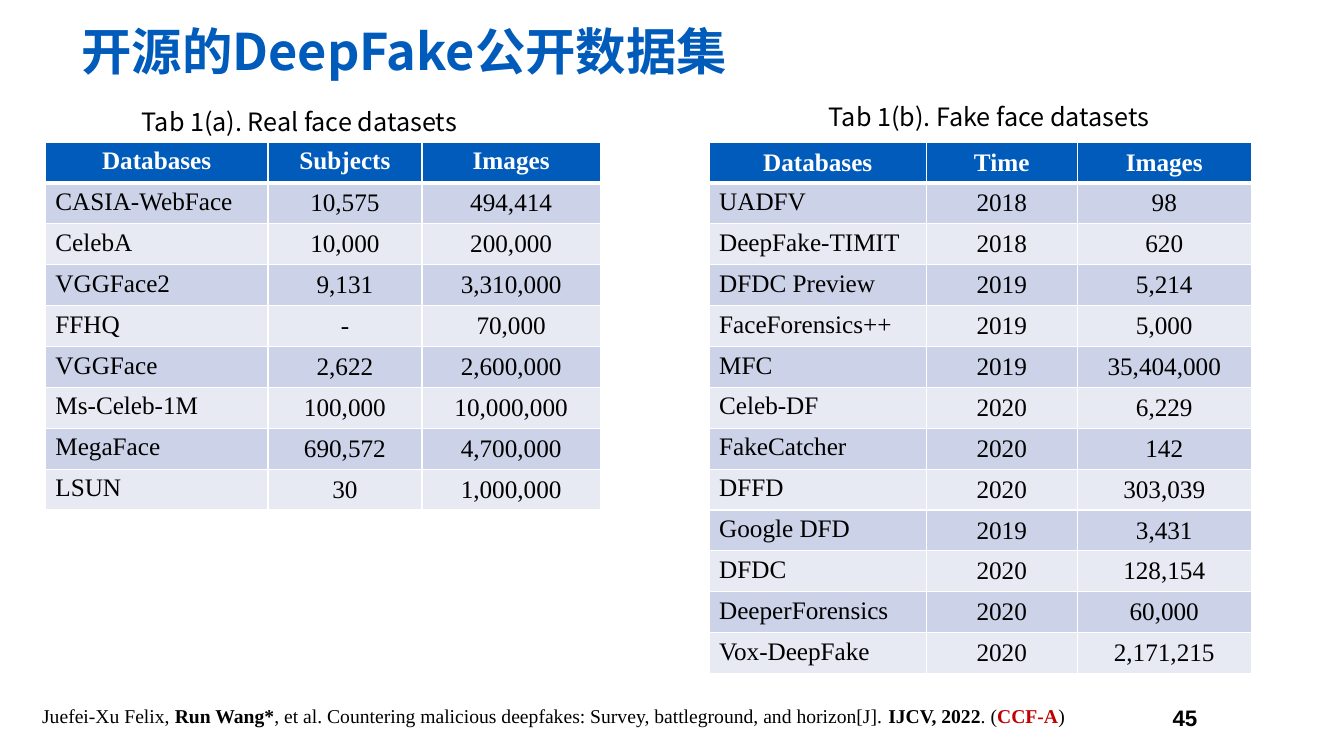
from lxml.etree import SubElement
from pptx import Presentation
from pptx.dml.color import RGBColor
from pptx.enum.text import MSO_ANCHOR as Anchor, PP_ALIGN as Align
from pptx.oxml import parse_xml
from pptx.oxml.ns import nsdecls, qn
from pptx.util import Pt

BLUE, WHITE, BLACK, RED = "005BBB", "FFFFFF", "000000", "C00000"
BANDS = ("CCD2E7", "E7EAF3")
SANS, SERIF = "Noto Sans CJK SC", "Times New Roman"
ROW_HEIGHT = 29.2

REAL_FACES = [
    ("Databases", "Subjects", "Images"),
    ("CASIA-WebFace", "10,575", "494,414"),
    ("CelebA", "10,000", "200,000"),
    ("VGGFace2", "9,131", "3,310,000"),
    ("FFHQ", "-", "70,000"),
    ("VGGFace", "2,622", "2,600,000"),
    ("Ms-Celeb-1M", "100,000", "10,000,000"),
    ("MegaFace", "690,572", "4,700,000"),
    ("LSUN", "30", "1,000,000"),
]
FAKE_FACES = [
    ("Databases", "Time", "Images"),
    ("UADFV", "2018", "98"),
    ("DeepFake-TIMIT", "2018", "620"),
    ("DFDC Preview", "2019", "5,214"),
    ("FaceForensics++", "2019", "5,000"),
    ("MFC", "2019", "35,404,000"),
    ("Celeb-DF", "2020", "6,229"),
    ("FakeCatcher", "2020", "142"),
    ("DFFD", "2020", "303,039"),
    ("Google DFD", "2019", "3,431"),
    ("DFDC", "2020", "128,154"),
    ("DeeperForensics", "2020", "60,000"),
    ("Vox-DeepFake", "2020", "2,171,215"),
]


def color(value):
    return RGBColor.from_string(value)


def set_values(target, values):
    for name, value in values.items():
        setattr(target, name, value)


def add_run(paragraph, text, size, font=SERIF, ink=BLACK, bold=False):
    run = paragraph.add_run()
    run.text = text
    set_values(run.font, {"size": Pt(size), "name": font, "bold": bold})
    run.font.color.rgb = color(ink)
    SubElement(run.font._element, qn("a:ea"), typeface=font)


def add_text(slide, box, runs, size, font=SERIF, frame_values=None, paragraph_values=None):
    frame = slide.shapes.add_textbox(*map(Pt, box)).text_frame
    set_values(frame, {"word_wrap": True, **(frame_values or {})})
    paragraph = frame.paragraphs[0]
    set_values(paragraph, paragraph_values or {})
    for text, ink, bold in runs:
        add_run(paragraph, text, size, font, ink, bold)


def add_borders(cell, row):
    widths = {"L": 1, "R": 1, "T": 3 if row == 1 else 1, "B": 3 if row == 0 else 1}
    properties = cell._tc.get_or_add_tcPr()
    for index, (side, width) in enumerate(widths.items()):
        properties.insert(index, parse_xml(
            f'<a:ln{side} {nsdecls("a")} w="{Pt(width)}"><a:solidFill>'
            f'<a:srgbClr val="{WHITE}"/></a:solidFill></a:ln{side}>'))


def add_dataset_table(slide, left, top, widths, records, header_anchor):
    shape = slide.shapes.add_table(len(records), len(widths), Pt(left), Pt(top),
                                   Pt(sum(widths)), Pt(ROW_HEIGHT * len(records)))
    table = shape.table
    table.horz_banding = False
    for column, width in zip(table.columns, widths):
        column.width = Pt(width)
    for row, record in enumerate(records):
        table.rows[row].height = Pt(ROW_HEIGHT)
        header = row == 0
        for column, text in enumerate(record):
            cell = table.cell(row, column)
            name = column == 0 and not header
            body_anchor = Anchor.TOP if name else Anchor.MIDDLE
            cell.vertical_anchor = header_anchor if header else body_anchor
            cell.fill.solid()
            cell.fill.fore_color.rgb = color(BLUE if header else BANDS[(row - 1) % 2])
            add_borders(cell, row)
            paragraph = cell.text_frame.paragraphs[0]
            paragraph.alignment = Align.LEFT if name else Align.CENTER
            add_run(paragraph, text, 18, ink=WHITE if header else BLACK, bold=header)


def add_caption(slide, left, top, text):
    add_text(slide, (left, top, 363, 29), [(text, BLACK, False)], 18, SANS,
             paragraph_values={"alignment": Align.CENTER})


def add_title(slide, box):
    add_text(slide, box, [("开源的DeepFake公开数据集", BLUE, True)], 36, SANS,
             {"vertical_anchor": Anchor.BOTTOM}, {"line_spacing": 0.9})


def add_footer(slide, left, top):
    citation = [
        ("Juefei-Xu Felix, ", BLACK, False),
        ("Run Wang*", BLACK, True),
        (", et al. Countering malicious deepfakes: Survey, battleground, and horizon[J]. ",
         BLACK, False),
        ("IJCV, 2022", BLACK, True),
        (". (", BLACK, False),
        ("CCF-A", RED, True),
        (")", BLACK, False),
    ]
    add_text(slide, (left, top, 752.4, 24.5), citation, 14)
    margins = {"margin_left": Pt(9.4), "margin_right": Pt(9.4),
               "margin_top": Pt(5), "margin_bottom": Pt(5)}
    add_text(slide, (left + 784.8, top - 7.2, 56.9, 41.8), [("45", BLACK, True)], 16, "Arial",
             {"vertical_anchor": Anchor.MIDDLE, **margins}, {"alignment": Align.RIGHT})


def main():
    presentation = Presentation()
    set_values(presentation, {"slide_width": Pt(960), "slide_height": Pt(540)})
    slide = presentation.slides.add_slide(presentation.slide_layouts[6])
    add_title(slide, (51.1, 11.5, 687.6, 50.4))
    add_dataset_table(slide, 32.4, 101.5, (159, 110, 127.5), REAL_FACES, Anchor.TOP)
    add_dataset_table(slide, 506.5, 101.5, (155.2, 107.7, 124.5), FAKE_FACES, Anchor.MIDDLE)
    add_caption(slide, 32.4, 72.5, "Tab 1(a). Real face datasets")
    add_caption(slide, 525, 68.7, "Tab 1(b). Fake face datasets")
    add_footer(slide, 23, 499)
    presentation.save("out.pptx")


if __name__ == "__main__":
    main()
